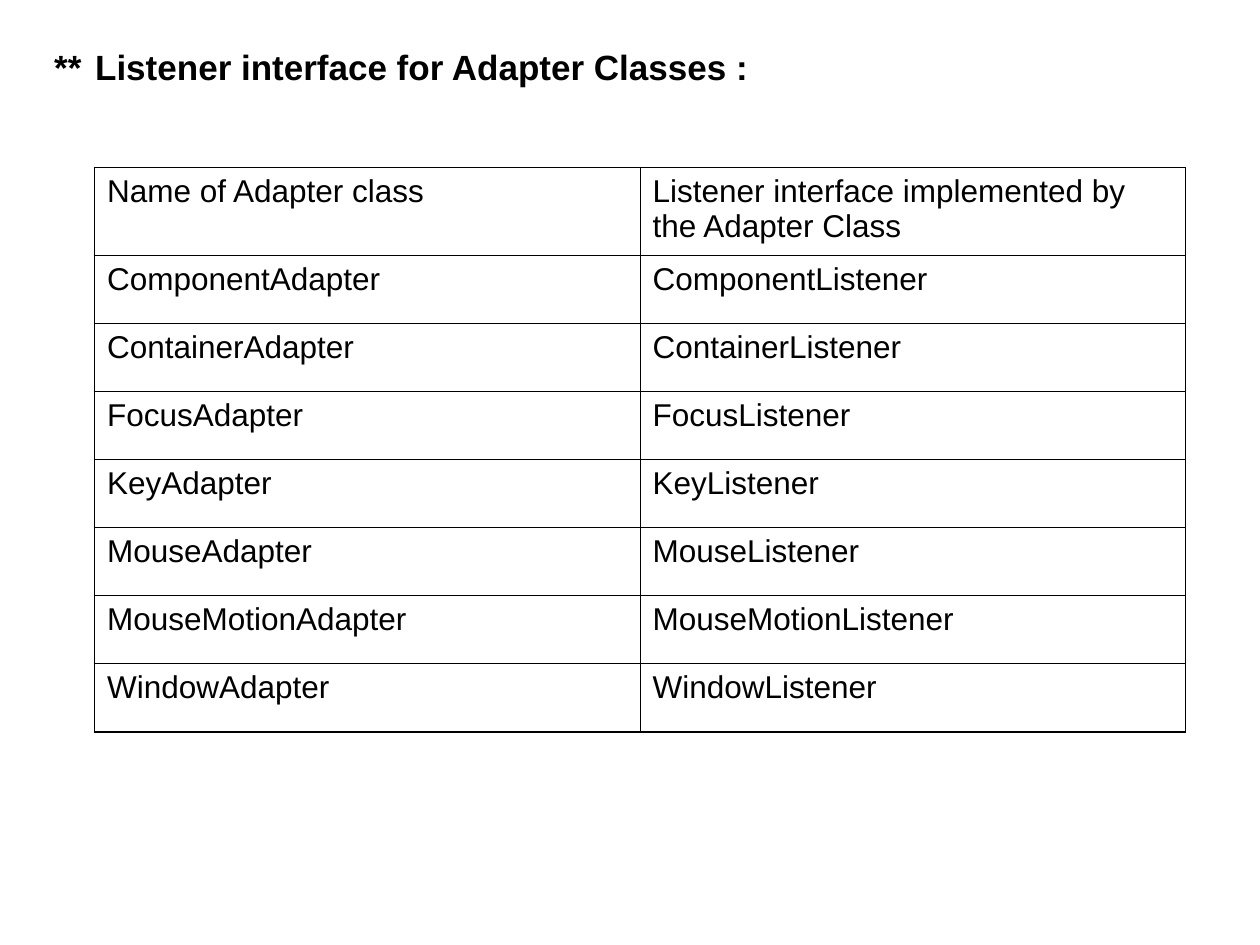
from lxml import etree
from pptx import Presentation
from pptx.dml.color import RGBColor
from pptx.enum.text import MSO_ANCHOR, MSO_AUTO_SIZE, PP_ALIGN
from pptx.oxml.ns import qn
from pptx.util import Inches, Pt

TOP = MSO_ANCHOR.TOP
LEFT = PP_ALIGN.LEFT
FIXED = MSO_AUTO_SIZE.NONE

BLACK = RGBColor(0, 0, 0)
FONT = "Arial"
THIN, THICK = Pt(0.45), Pt(1.08)

WIDE, HIGH = Inches(10), Inches(7.5)
COL = Inches(4.33)
HEAD, ROW = Inches(0.7), Inches(0.54)

HEADS = ("Name of Adapter class",
         "Listener interface implemented by the Adapter Class")
EVENTS = ("Component", "Container", "Focus", "Key",
          "Mouse", "MouseMotion", "Window")


def style(font, size, bold=False):
    font.name = FONT
    font.size = Pt(size)
    font.bold = bold
    font.color.rgb = BLACK


def add_title(slide):
    title = slide.shapes.title
    title.left, title.top = Inches(0.33), Inches(0.17)
    title.width, title.height = Inches(9.42), Inches(1)
    frame = title.text_frame
    frame.auto_size = FIXED
    frame.vertical_anchor = TOP
    frame.margin_top = Inches(0.19)
    para = frame.paragraphs[0]
    para.alignment = LEFT
    # The marker is set apart from the heading by a small space
    for text, size, bold in (("** ", 20, True), (" ", 8, False),
                             ("Listener interface for Adapter Classes :", 20, True)):
        run = para.add_run()
        run.text = text
        style(run.font, size, bold)


def add_edge(cell, side, width):
    props = cell._tc.get_or_add_tcPr()
    line = etree.SubElement(props, qn("a:ln" + side), w=str(width))
    fill = etree.SubElement(line, qn("a:solidFill"))
    etree.SubElement(fill, qn("a:srgbClr"), val=str(BLACK))


def fill_cell(cell, text, edges):
    cell.text = text
    cell.vertical_anchor = TOP
    para = cell.text_frame.paragraphs[0]
    para.alignment = LEFT
    para.space_before = Pt(4.5)
    style(para.runs[0].font, 18)
    # Outer edges are thick, inner edges thin
    for side, outer in edges.items():
        add_edge(cell, side, THICK if outer else THIN)
    cell.fill.background()


def add_grid(slide, rows):
    count, cols = len(rows), len(rows[0])
    frame = slide.shapes.add_table(count, cols, Inches(0.75), Inches(1.33),
                                   COL * cols, HEAD + ROW * (count - 1))
    table = frame.table
    table.first_row = table.horz_banding = False
    for col in table.columns:
        col.width = COL
    for r, texts in enumerate(rows):
        table.rows[r].height = ROW if r else HEAD
        for c, text in enumerate(texts):
            edges = {"L": c == 0, "R": c == cols - 1,
                     "T": r == 0, "B": r == count - 1}
            fill_cell(table.cell(r, c), text, edges)


def main():
    prs = Presentation()
    prs.slide_width, prs.slide_height = WIDE, HIGH
    slide = prs.slides.add_slide(prs.slide_layouts[5])
    add_title(slide)
    # Each event pairs an adapter with its listener
    add_grid(slide, [HEADS] + [(name + "Adapter", name + "Listener")
                               for name in EVENTS])
    prs.save("out.pptx")


if __name__ == "__main__":
    main()
